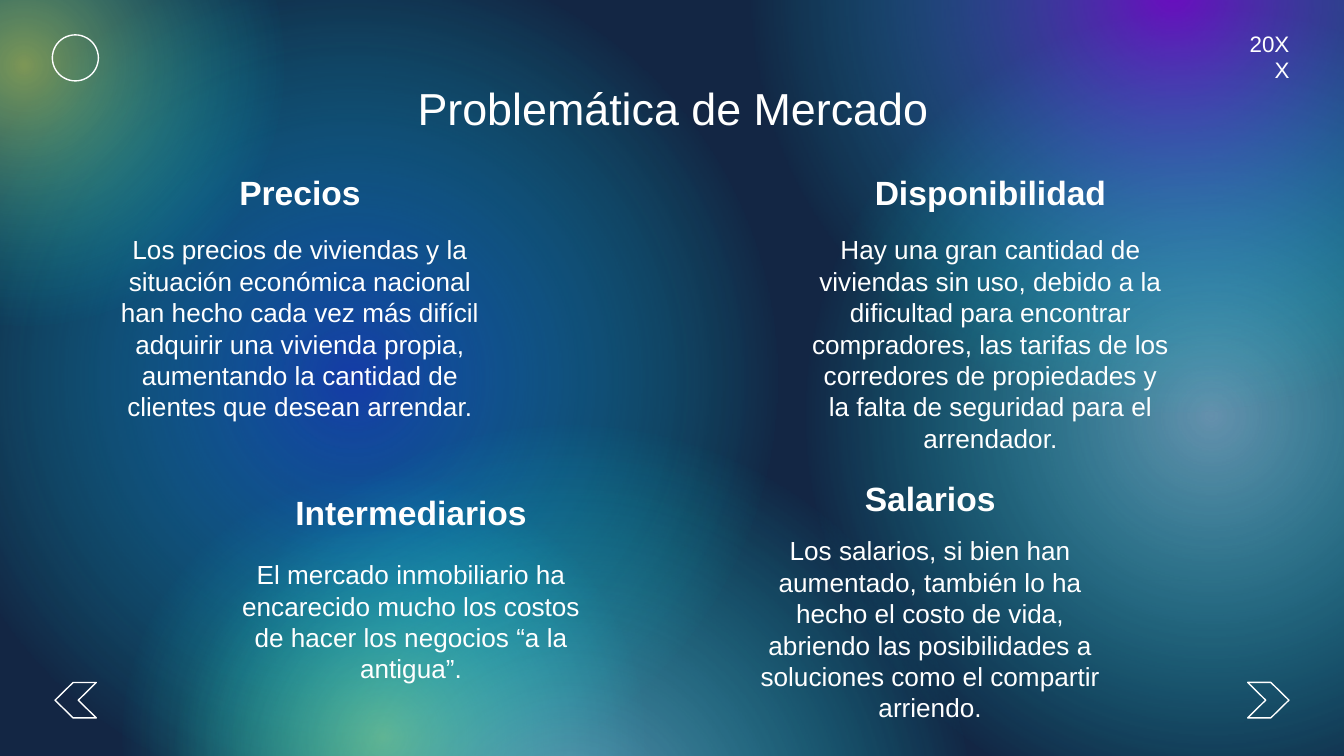
from lxml import etree
from pptx import Presentation
from pptx.dml.color import RGBColor
from pptx.enum.shapes import MSO_SHAPE
from pptx.enum.text import MSO_ANCHOR, MSO_AUTO_SIZE, PP_ALIGN
from pptx.oxml.ns import qn
from pptx.util import Cm, Pt

OVAL, CHEVRON = MSO_SHAPE.OVAL, MSO_SHAPE.CHEVRON
TOP, MIDDLE, BOTTOM = MSO_ANCHOR.TOP, MSO_ANCHOR.MIDDLE, MSO_ANCHOR.BOTTOM
CENTER, RIGHT = PP_ALIGN.CENTER, PP_ALIGN.RIGHT
WHITE = "FFFFFF"


def rgb(color):
    return RGBColor.from_string(color)


def write(sp, text, size, bold=False, anchor=TOP, align=CENTER):
    tf = sp.text_frame
    tf.word_wrap = True
    tf.auto_size = MSO_AUTO_SIZE.NONE
    tf.vertical_anchor = anchor
    tf.margin_left = tf.margin_right = tf.margin_top = tf.margin_bottom = Cm(0.25)
    p = tf.paragraphs[0]
    p.text = text
    p.alignment = align
    p.font.name = "Arial"
    p.font.size = Pt(size)
    p.font.bold = bold
    p.font.color.rgb = rgb(WHITE)


prs = Presentation()
prs.slide_width, prs.slide_height = Cm(25.4), Cm(14.29)
s = prs.slides.add_slide(prs.slide_layouts[5])
s.background.fill.solid()
s.background.fill.fore_color.rgb = rgb("132644")

glows = [
    (0.41, 7.04, 13.67, 13.77, "E0FE68", 52, 51),
    (-2.34, -1.93, 18.01, 18.16, "1645D3", 69, 63),
    (-6.38, -5.66, 13.67, 13.77, "E0FE68", 52, 51),
    (14.3, -0.81, 17.17, 17.32, "8AC1DC", 69, 63),
    (11.13, -11.28, 22.07, 22.25, "9900FF", 66, 51),
    (2.18, 7.04, 17.17, 17.32, "8AC1DC", 69, 63),
]
for x, y, w, h, color, alpha, edge in glows:
    sp = s.shapes.add_shape(OVAL, Cm(x), Cm(y), Cm(w), Cm(h))
    sp.shadow.inherit = False
    sp.line.fill.background()
    sp.fill.background()
    grad = etree.Element(qn("a:gradFill"), rotWithShape="1")
    stops = etree.SubElement(grad, qn("a:gsLst"))
    for pos, stop, opacity in [(0, color, alpha), (edge, "00FFFF", 0), (100, "FF0000", 0)]:
        gs = etree.SubElement(stops, qn("a:gs"), pos=str(pos * 1000))
        clr = etree.SubElement(gs, qn("a:srgbClr"), val=stop)
        etree.SubElement(clr, qn("a:alpha"), val=str(opacity * 1000))
    circle = etree.SubElement(grad, qn("a:path"), {"path": "circle"})
    etree.SubElement(circle, qn("a:fillToRect"), l="50000", t="50000", r="50000", b="50000")
    no_fill = sp.element.spPr.find(qn("a:noFill"))
    sp.element.spPr.replace(no_fill, grad)

title = s.shapes.title
title.left, title.top, title.width, title.height = Cm(2.01), Cm(1.27), Cm(21.41), Cm(1.6)
write(title, "Problemática de Mercado", 24)
title.element.getparent().append(title.element)

topics = [
    (2.01, 3.25, 4.17, "Precios",
     "Los precios de viviendas y la situación económica nacional han hecho cada vez más difícil "
     "adquirir una vivienda propia, aumentando la cantidad de clientes que desean arrendar."),
    (15.06, 3.25, 4.17, "Disponibilidad",
     "Hay una gran cantidad de viviendas sin uso, debido a la dificultad para encontrar "
     "compradores, las tarifas de los corredores de propiedades y la falta de seguridad "
     "para el arrendador."),
    (4.11, 9.3, 10.31, "Intermediarios",
     "El mercado inmobiliario ha encarecido mucho los costos de hacer los negocios “a la antigua”."),
    (13.92, 9.02, 9.86, "Salarios",
     "Los salarios, si bien han aumentado, también lo ha hecho el costo de vida, abriendo las "
     "posibilidades a soluciones como el compartir arriendo."),
]
for x, head_y, body_y, heading, body in topics:
    sp = s.shapes.add_textbox(Cm(x), Cm(head_y), Cm(7.32), Cm(1.02))
    write(sp, heading, 18, bold=True, anchor=BOTTOM)
    sp = s.shapes.add_textbox(Cm(x), Cm(body_y), Cm(7.32), Cm(2.18))
    write(sp, body, 14)

sp = s.shapes.add_textbox(Cm(23.32), Cm(0.36), Cm(1.3), Cm(1.42))
write(sp, "20XX", 12, anchor=MIDDLE, align=RIGHT)

icons = [
    (CHEVRON, 23.58, 12.9, 0.78, 0.67, 0),
    (CHEVRON, 1.04, 12.9, 0.78, 0.67, 180),
    (OVAL, 0.99, 0.66, 0.87, 0.87, 0),
]
for kind, x, y, w, h, angle in icons:
    sp = s.shapes.add_shape(kind, Cm(x), Cm(y), Cm(w), Cm(h))
    sp.shadow.inherit = False
    sp.fill.background()
    sp.line.color.rgb = rgb(WHITE)
    sp.line.width = Pt(0.75)
    sp.rotation = angle
    if kind == CHEVRON:
        sp.adjustments[0] = 0.51

prs.save("out.pptx")
